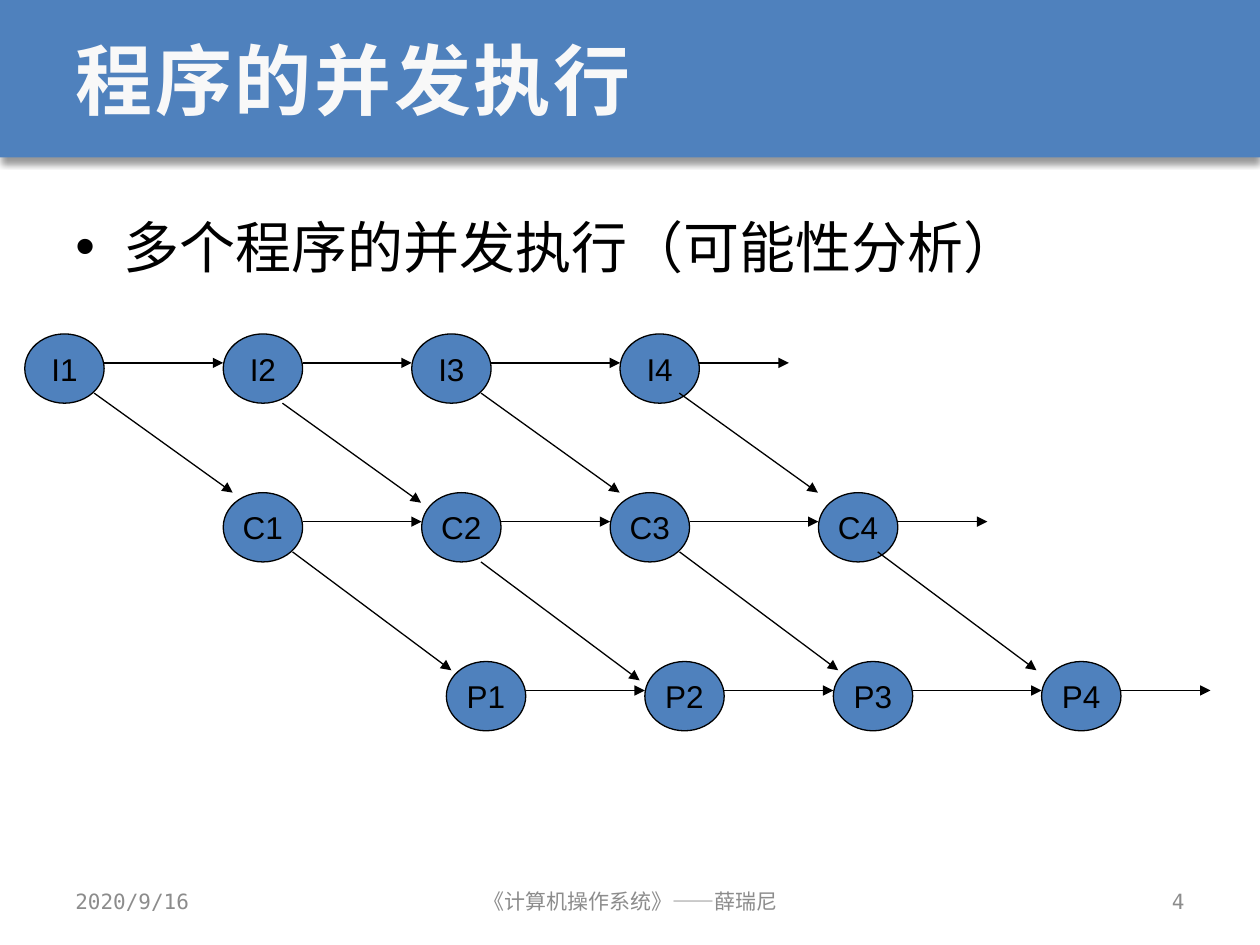
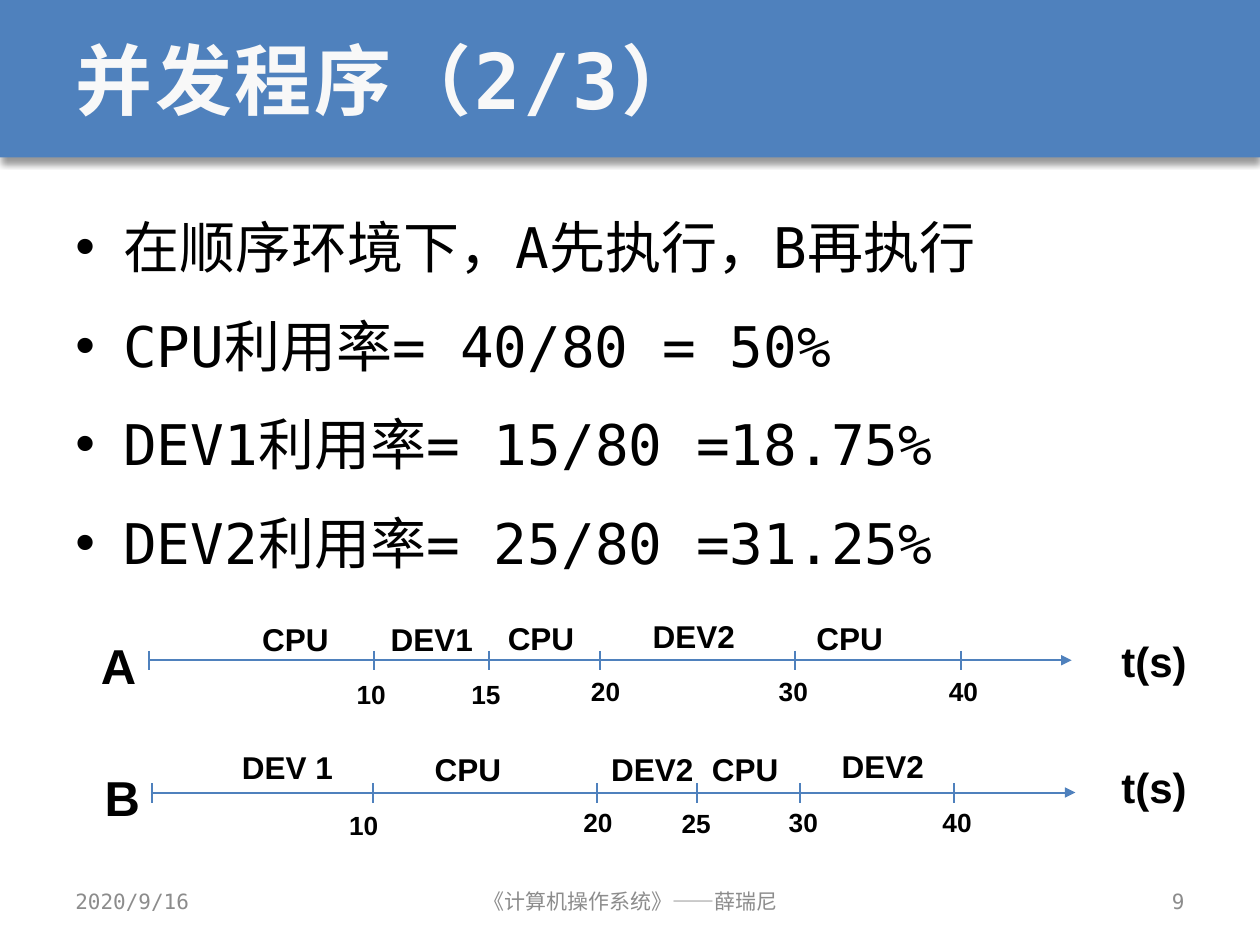
from lxml.etree import SubElement
from pptx import Presentation
from pptx.dml.color import RGBColor
from pptx.enum.shapes import MSO_CONNECTOR as Connector, MSO_SHAPE as Shape
from pptx.enum.text import MSO_ANCHOR as Anchor, MSO_AUTO_SIZE as AutoSize, PP_ALIGN as Align
from pptx.oxml import parse_xml
from pptx.oxml.ns import nsdecls, qn
from pptx.util import Inches, Pt

BLUE, BLACK, GRAY, PALE = "4F81BD", "000000", "8C8C8C", "F8F8F8"
MONO, SANS = "DejaVu Sans Mono", "Arial"
COLUMNS, ROWS = 100, 75
TITLE_ONLY = 5


def color(text):
    return RGBColor.from_string(text)


class SlideWriter:
    def __init__(self):
        self.deck = Presentation()
        self.deck.slide_width = Inches(10)
        self.deck.slide_height = Inches(7.5)
        self.page = None

    def across(self, columns):
        return round(self.deck.slide_width * columns / COLUMNS)

    def down(self, rows):
        return round(self.deck.slide_height * rows / ROWS)

    def area(self, left, top, width, height):
        return self.across(left), self.down(top), self.across(width), self.down(height)

    def style(self, para, size, hue=BLACK, name=MONO, bold=False, align=Align.LEFT):
        para.alignment = align
        font = para.font
        font.size, font.name, font.bold = Pt(size), name, bold
        font.color.rgb = color(hue)
        return font

    def start_page(self, title, number):
        self.page = self.deck.slides.add_slide(self.deck.slide_layouts[TITLE_ONLY])
        self.band()
        self.title(title)
        self.footer(5, 23.3, "2020/9/16", Align.LEFT)
        self.footer(34.2, 31.7, "《计算机操作系统》——薛瑞尼", Align.CENTER)
        self.footer(71.7, 23.3, number, Align.RIGHT)

    def shape(self, kind, area, fill):
        shape = self.page.shapes.add_shape(kind, *self.area(*area))
        shape.shadow.inherit = False
        shape.fill.solid()
        shape.fill.fore_color.rgb = color(fill)
        return shape

    def band(self):
        band = self.shape(Shape.RECTANGLE, (0, 0, COLUMNS, 12.5), BLUE)
        band.line.fill.background()
        effects = band._element.spPr.find(qn("a:effectLst"))
        effects.append(parse_xml(
            f'<a:outerShdw {nsdecls("a")} blurRad="{Pt(4)}" dist="{Pt(3)}" dir="5400000" rotWithShape="0">'
            f'<a:srgbClr val="{BLACK}"><a:alpha val="40000"/></a:srgbClr></a:outerShdw>'))
        self.page.shapes._spTree.insert(2, band._element)

    def title(self, text):
        box = self.page.shapes.title
        box.left, box.top, box.width, box.height = self.area(5, 0, 90, 12.5)
        frame = box.text_frame
        frame.text = text
        frame.auto_size = AutoSize.NONE
        frame.vertical_anchor = Anchor.MIDDLE
        font = self.style(frame.paragraphs[0], 44, PALE, bold=True)
        font._element.set("spc", "150")

    def text_box(self, area):
        box = self.page.shapes.add_textbox(*self.area(*area))
        box.text_frame.word_wrap = True
        return box.text_frame

    def footer(self, left, width, text, align):
        frame = self.text_box((left, 69.5, width, 4))
        frame.vertical_anchor = Anchor.MIDDLE
        frame.text = text
        self.style(frame.paragraphs[0], 12, GRAY, align=align)

    def bullets(self, lines):
        frame = self.text_box((5, 14.8, 90, 53.3))
        frame.text = "\n".join(lines)
        for index, para in enumerate(frame.paragraphs):
            para.line_spacing = 1.3
            para.space_before = Pt(6.4 if index else 0)
            props = para._p.get_or_add_pPr()
            props.set("marL", str(Inches(0.38)))
            props.set("indent", str(-Inches(0.38)))
            SubElement(props, qn("a:buFont"), typeface=SANS)
            SubElement(props, qn("a:buChar"), char="•")
            self.style(para, 32)

    def label(self, text, left, top, width, height, size):
        frame = self.text_box((left, top, width, height))
        frame.margin_left = frame.margin_right = frame.margin_top = frame.margin_bottom = 0
        frame.text = text
        self.style(frame.paragraphs[0], size, name=SANS, bold=True)

    def node(self, text, left, top):
        node = self.shape(Shape.OVAL, (left, top, NODE_WIDTH, NODE_HEIGHT), BLUE)
        node.line.color.rgb = color(BLACK)
        node.line.width = Pt(0.75)
        frame = node.text_frame
        frame.word_wrap = False
        frame.vertical_anchor = Anchor.MIDDLE
        frame.text = text
        self.style(frame.paragraphs[0], 18, name=SANS, align=Align.CENTER)

    def line(self, x1, y1, x2, y2, hue=BLACK, weight=0.75, arrow=True):
        line = self.page.shapes.add_connector(
            Connector.STRAIGHT, self.across(x1), self.down(y1), self.across(x2), self.down(y2))
        line.line.color.rgb = color(hue)
        line.line.width = Pt(weight)
        if arrow:
            SubElement(line.line._get_or_add_ln(), qn("a:tailEnd"), type="triangle")
        SubElement(line._element.spPr, qn("a:effectLst"))

    def timeline(self, name, start, axis, ticks, activities, times):
        self.label(name, start - 3.85, axis - 2, 2.8, 4.7, 28)
        self.line(start, axis, start + 73.2, axis, BLUE, 1.13)
        for tick in ticks:
            self.line(tick, axis - 0.75, tick, axis + 0.8, BLUE, 1.13, arrow=False)
        for text, left, top in activities:
            self.label(text, left, top, 7.5, 3, 18)
        for text, left, top in times:
            self.label(text, left, top, 2.5, 2.5, 15)


NODE_WIDTH, NODE_HEIGHT = 6.3, 5.5
STAGE_LEFTS = (1.97, 17.72, 32.68, 49.21)
STAGES = (("I", 0, 26.5), ("C", 15.75, 39.1), ("P", 33.46, 52.5))
DIAGONAL_STARTS = ((5.5, 4.7), (4.7, 5.5), (5.5, 4.7), (4.7, 4.7))
DIAGONAL_RUNS = {"I": (11, 7.9), "C": (12.6, 9.4)}


def concurrent_execution(writer):
    writer.start_page("程序的并发执行", "4")
    writer.bullets(["多个程序的并发执行（可能性分析）"])
    for stage, shift, top in STAGES:
        lefts = [left + shift for left in STAGE_LEFTS]
        ends = lefts[1:] + [lefts[-1] + NODE_WIDTH + 7.1]
        for number, (left, end) in enumerate(zip(lefts, ends), 1):
            writer.node(f"{stage}{number}", left, top)
            writer.line(left + NODE_WIDTH, top + 2.3, end, top + 2.3)
    for stage, shift, top in STAGES[:-1]:
        run, drop = DIAGONAL_RUNS[stage]
        for left, (dx, dy) in zip(STAGE_LEFTS, DIAGONAL_STARTS):
            x, y = left + shift + dx, top + dy
            writer.line(x, y, x + run, y + drop)


def sequential_usage(writer):
    writer.start_page("并发程序（2/3）", "9")
    writer.bullets([
        "在顺序环境下，A先执行，B再执行",
        "CPU利用率= 40/80 = 50%",
        "DEV1利用率= 15/80 =18.75%",
        "DEV2利用率= 25/80 =31.25%",
    ])
    writer.timeline(
        "A", 11.85, 52.4, (11.8, 29.7, 38.8, 47.65, 63.1, 76.3),
        (("CPU", 20.8, 49.2), ("DEV1", 31, 49.2), ("CPU", 40.3, 49.1),
         ("DEV2", 51.8, 49), ("CPU", 64.8, 49.1)),
        (("10", 28.3, 53.8), ("15", 37.4, 53.8), ("20", 46.9, 53.6),
         ("30", 61.8, 53.6), ("40", 75.3, 53.6)))
    writer.timeline(
        "B", 12.15, 62.9, (12.1, 29.6, 47.4, 55.3, 63.5, 75.7),
        (("DEV 1", 19.2, 59.4), ("CPU", 34.5, 59.5), ("DEV2", 48.5, 59.5),
         ("CPU", 56.5, 59.5), ("DEV2", 66.8, 59.3)),
        (("10", 27.7, 64.2), ("20", 46.3, 64), ("25", 54.1, 64.1),
         ("30", 62.6, 64), ("40", 74.8, 64)))
    for top in (50.4, 60.4):
        writer.label("t(s)", 89, top, 6, 4, 24)


def main():
    writer = SlideWriter()
    concurrent_execution(writer)
    sequential_usage(writer)
    writer.deck.save("out.pptx")


if __name__ == "__main__":
    main()
